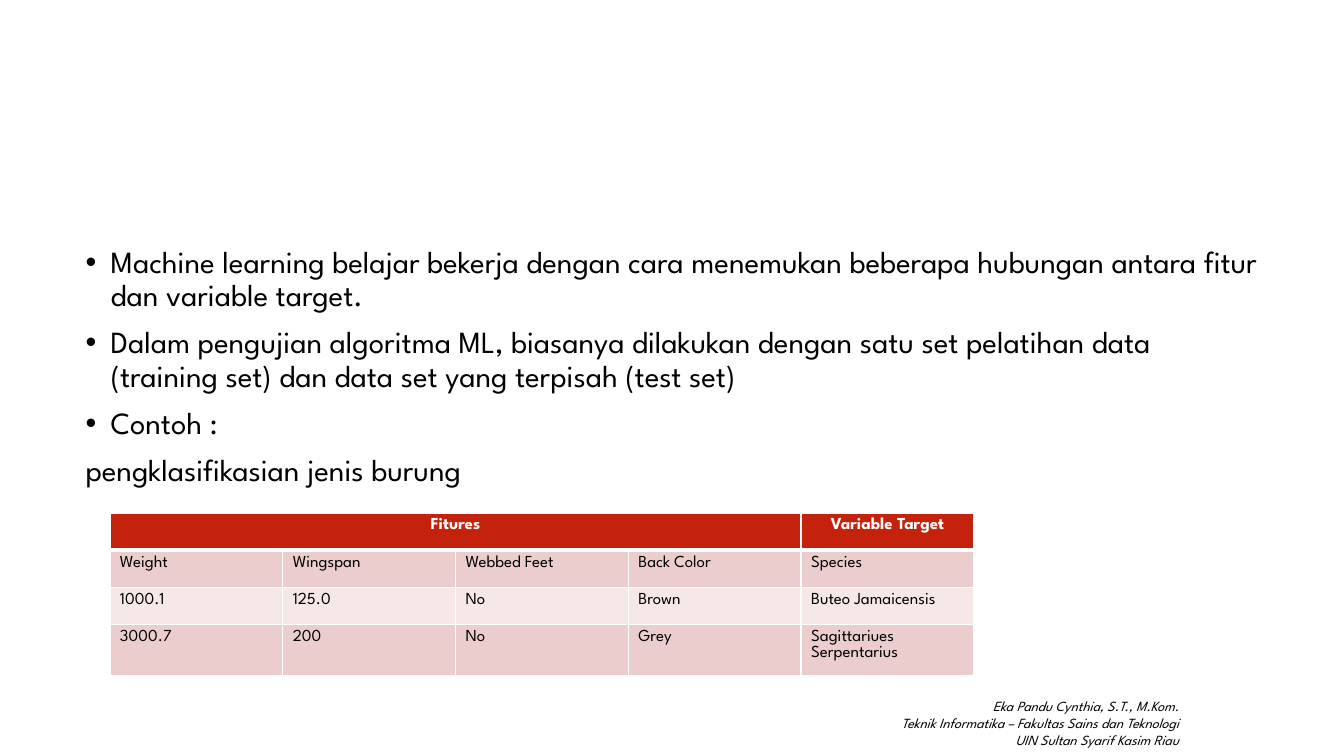
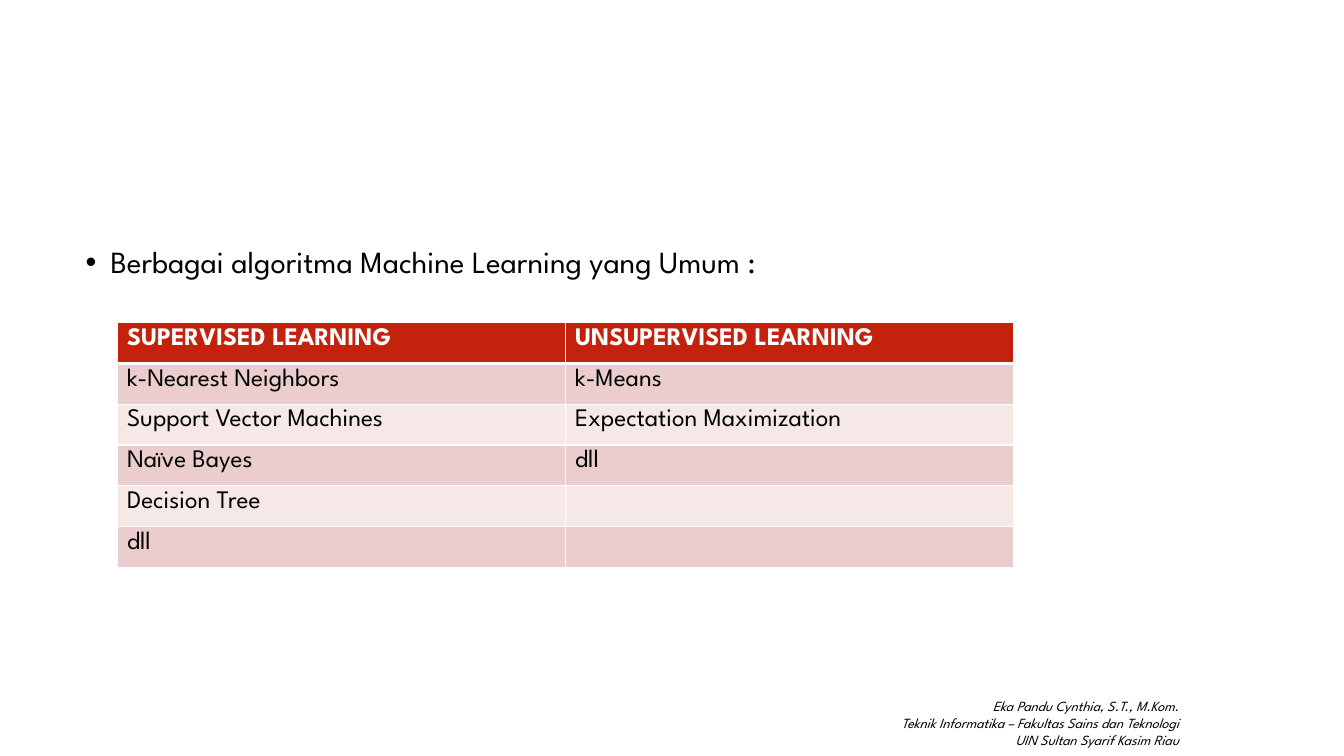
from lxml.etree import SubElement
from pptx import Presentation
from pptx.dml.color import RGBColor
from pptx.enum.text import PP_ALIGN
from pptx.oxml.ns import qn
from pptx.util import Pt

PX = 9144  # EMU in one px, 100 px to the inch
FONT = "League Spartan"
BLACK = RGBColor(0x00, 0x00, 0x00)
WHITE = RGBColor(0xFF, 0xFF, 0xFF)
RED = RGBColor(0xC4, 0x22, 0x0D)
PINK = RGBColor(0xEA, 0xCD, 0xCC)
PALE_PINK = RGBColor(0xF5, 0xE8, 0xE7)

BODY_BOX = (75, 240, 1184, 440)
FOOTER_BOX = (831, 687, 348, 61)
FOOTER_LINES = [
    "Eka Pandu Cynthia, S.T., M.Kom.",
    "Teknik Informatika – Fakultas Sains dan Teknologi",
    "UIN Sultan Syarif Kasim Riau",
]

LEARNING_POINTS = [
    "Machine learning belajar bekerja dengan cara menemukan beberapa hubungan "
    "antara fitur dan variable target.",
    "Dalam pengujian algoritma ML, biasanya dilakukan dengan satu set pelatihan data "
    "(training set) dan data set yang terpisah (test set)",
    "Contoh :",
]
BIRD_ROWS = [
    ["Fitures", "", "", "", "Variable Target"],
    ["Weight", "Wingspan", "Webbed Feet", "Back Color", "Species"],
    ["1000.1", "125.0", "No", "Brown", "Buteo Jamaicensis"],
    ["3000.7", "200", "No", "Grey", "Sagittariues Serpentarius"],
]
ALGORITHM_POINTS = ["Berbagai algoritma Machine Learning yang Umum :"]
ALGORITHM_ROWS = [
    ["SUPERVISED LEARNING", "UNSUPERVISED LEARNING"],
    ["k-Nearest Neighbors", "k-Means"],
    ["Support Vector Machines", "Expectation Maximization"],
    ["Naïve Bayes", "dll"],
    ["Decision Tree", ""],
    ["dll", ""],
]


def to_emu(box):
    return [length * PX for length in box]


def style_font(font, size, color=BLACK, bold=False, italic=False):
    font.name = FONT
    font.size = Pt(size)
    font.color.rgb = color
    font.bold = bold
    font.italic = italic


def add_text(slide, box, lines, size, italic=False):
    frame = slide.shapes.add_textbox(*to_emu(box)).text_frame
    frame.word_wrap = True
    frame.text = "\n".join(lines)
    for para in frame.paragraphs:
        for span in para.runs:
            style_font(span.font, size, italic=italic)
    return frame.paragraphs


def add_bullet(para):
    properties = para._p.get_or_add_pPr()
    properties.set("marL", str(25 * PX))
    properties.set("indent", str(-25 * PX))
    SubElement(properties, qn("a:buFont")).set("typeface", "Arial")
    SubElement(properties, qn("a:buChar")).set("char", "•")


def add_body(slide, box, points, closing=()):
    """Bulleted points, then closing lines without a bullet."""
    for index, para in enumerate(add_text(slide, box, [*points, *closing], 22)):
        para.line_spacing = 0.9
        para.space_before = Pt(10)
        if index < len(points):
            add_bullet(para)


def add_footer(slide, box):
    for para in add_text(slide, box, FOOTER_LINES, 10, italic=True):
        para.alignment = PP_ALIGN.RIGHT


def set_borders(cell, top, bottom):
    """White borders, 1 pt at the sides; top and bottom are in points."""
    properties = cell._tc.get_or_add_tcPr()
    widths = {"a:lnL": 1, "a:lnR": 1, "a:lnT": top, "a:lnB": bottom}
    for index, (tag, width) in enumerate(widths.items()):
        line = SubElement(properties, qn(tag), w=str(Pt(width)))
        fill = SubElement(line, qn("a:solidFill"))
        SubElement(fill, qn("a:srgbClr"), val=str(WHITE))
        properties.insert(index, line)


def add_grid(slide, box, rows, size, header_align=PP_ALIGN.LEFT):
    """Table with a red header, banded rows and equal columns."""
    frame = slide.shapes.add_table(len(rows), len(rows[0]), *to_emu(box))
    table = frame.table
    for row_index, texts in enumerate(rows):
        is_header = row_index == 0
        band = RED if is_header else PINK if row_index % 2 else PALE_PINK
        for column_index, text in enumerate(texts):
            cell = table.cell(row_index, column_index)
            cell.fill.solid()
            cell.fill.fore_color.rgb = band
            set_borders(cell, 3 if row_index == 1 else 1, 3 if is_header else 1)
            cell.text = text
            para = cell.text_frame.paragraphs[0]
            para.alignment = header_align if is_header else PP_ALIGN.LEFT
            for span in para.runs:
                style_font(span.font, size, WHITE if is_header else BLACK, bold=is_header)
    return table


def add_page(deck):
    page = deck.slides.add_slide(deck.slide_layouts[6])
    page.background.fill.solid()
    page.background.fill.fore_color.rgb = WHITE
    return page


def build_learning_page(deck):
    page = add_page(deck)
    add_body(page, BODY_BOX, LEARNING_POINTS, ["pengklasifikasian jenis burung"])
    add_footer(page, FOOTER_BOX)
    birds = add_grid(page, (109, 509, 857, 148), BIRD_ROWS, 12, PP_ALIGN.CENTER)
    birds.cell(0, 0).merge(birds.cell(0, 3))


def build_algorithm_page(deck):
    page = add_page(deck)
    add_body(page, BODY_BOX, ALGORITHM_POINTS)
    add_footer(page, FOOTER_BOX)
    add_grid(page, (116, 320, 889, 243), ALGORITHM_ROWS, 18)


def main():
    deck = Presentation()
    deck.slide_width, deck.slide_height = to_emu((1333, 750))
    build_learning_page(deck)
    build_algorithm_page(deck)
    deck.save("out.pptx")


if __name__ == "__main__":
    main()
